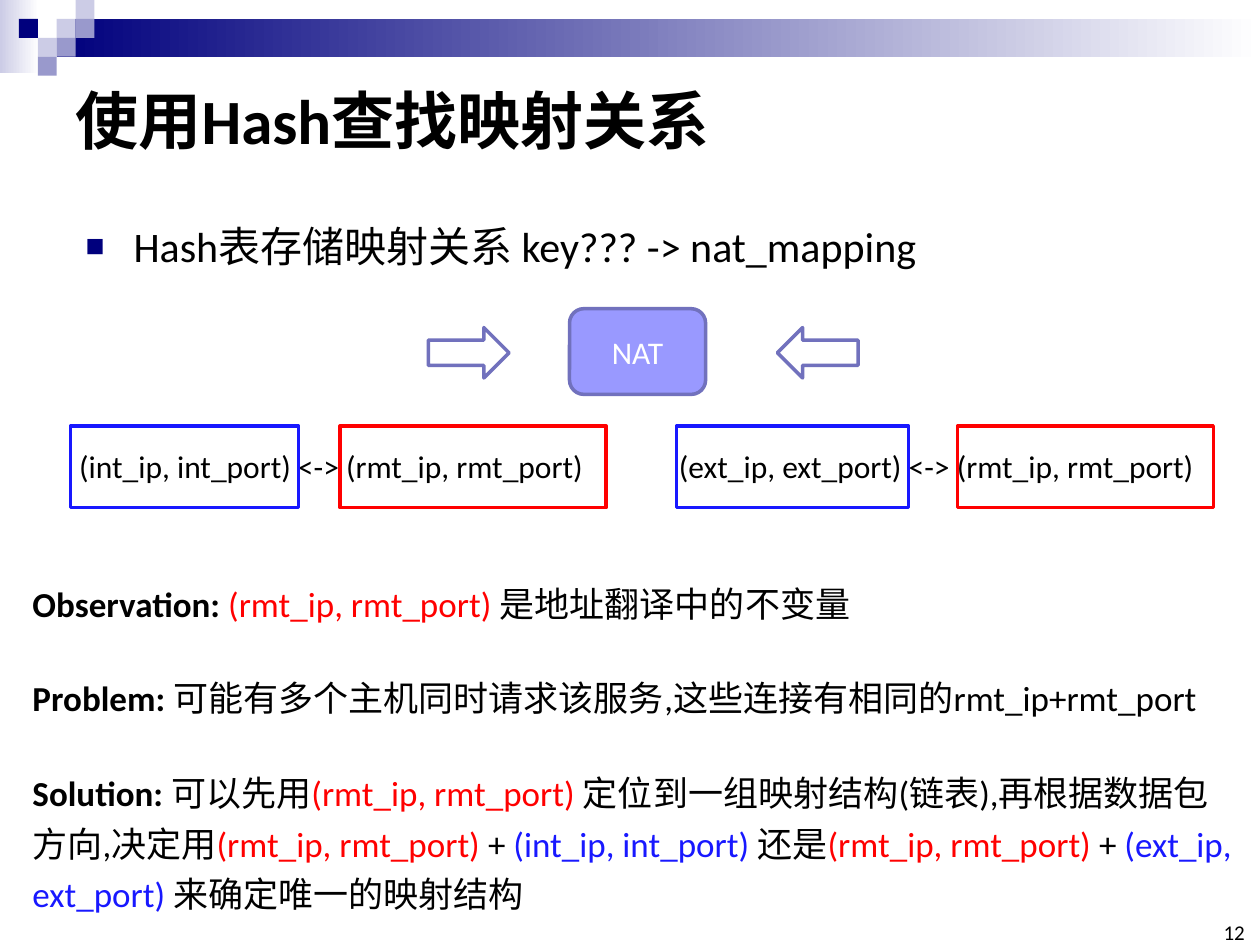
"""Builds the slide on finding NAT mappings with a hash table."""
from lxml.etree import SubElement
from pptx import Presentation
from pptx.dml.color import RGBColor
from pptx.enum.shapes import MSO_SHAPE
from pptx.enum.text import MSO_ANCHOR, MSO_AUTO_SIZE, PP_ALIGN
from pptx.oxml.ns import qn
from pptx.util import Inches, Pt

NAVY = RGBColor(0x00, 0x00, 0x7D)
PALE = RGBColor(0xCC, 0xCC, 0xE6)
MID = RGBColor(0x99, 0x99, 0xCC)
LILAC = RGBColor(0x99, 0x99, 0xFF)
VIOLET = RGBColor(0x71, 0x71, 0xBD)
RED = RGBColor(0xFF, 0x00, 0x00)
BLUE = RGBColor(0x18, 0x18, 0xFF)
BLACK = RGBColor(0x00, 0x00, 0x00)
WHITE = RGBColor(0xFF, 0xFF, 0xFF)
FONT = "Calibri"

TITLE = "使用Hash查找映射关系"
BULLET = "Hash表存储映射关系 key??? -> nat_mapping"
REMOTE, INTERNAL, EXTERNAL = "(rmt_ip, rmt_port)", "(int_ip, int_port)", "(ext_ip, ext_port)"

BANDS = [((0, 0, 0.31, 0.58), PALE), ((0.45, 0.15, 9.55, 0.3), NAVY)]
TILE = 0.15
TILES = [(3, 1, PALE), (4, 0, PALE), (4, 1, MID), (2, 2, PALE),
         (1, 1, NAVY), (3, 2, MID), (2, 3, MID)]

ARROWS = [(MSO_SHAPE.RIGHT_ARROW, 3.4), (MSO_SHAPE.LEFT_ARROW, 6.17)]
TUPLES = [(INTERNAL, 0.53, 4.33), (EXTERNAL, 5.29, 4.42)]
FRAMES = [(2.7, 2.11, RED), (7.6, 2.03, RED), (0.56, 1.81, BLUE), (5.37, 1.84, BLUE)]

NOTES = [
    ((0.16, 4.57, 6.97, 0.44), 1.0, [
        ("Observation: ", BLACK, True), (REMOTE + " ", RED), ("是地址翻译中的不变量", BLACK)]),
    ((0.16, 5.32, 9.84, 0.44), 1.0, [
        ("Problem: ", BLACK, True),
        ("可能有多个主机同时请求该服务,这些连接有相同的rmt_ip+rmt_port".replace(",", ","), BLACK)]),
    ((0.16, 6.01, 9.74, 1.28), 1.2, [
        ("Solution: ", BLACK, True), ("可以先用", BLACK), (REMOTE + " ", RED),
        ("定位到一组映射结构(链表),再根据数据包方向,决定用", BLACK),
        (REMOTE, RED), (" + ", BLACK), (INTERNAL + " ", BLUE), ("还是", BLACK),
        (REMOTE, RED), (" + ", BLACK), (EXTERNAL + " ", BLUE),
        ("来确定唯一的映射结构", BLACK)]),
]


def write(paragraph, text, size, color=BLACK, bold=False):
    run = paragraph.add_run()
    run.text = text
    for name, value in {"name": FONT, "size": Pt(size), "bold": bold}.items():
        setattr(run.font, name, value)
    run.font.color.rgb = color


def add_block(kind, at, fill=None, line=None):
    block = slide.shapes.add_shape(kind, *map(Inches, at))
    block.shadow.inherit = False
    if fill is None:
        block.fill.background()
    else:
        block.fill.solid()
        block.fill.fore_color.rgb = fill
    if line is None:
        block.line.fill.background()
    else:
        block.line.color.rgb = line
        block.line.width = Pt(2)
    return block


def add_text(at, **frame_format):
    frame = slide.shapes.add_textbox(*map(Inches, at)).text_frame
    for name, value in frame_format.items():
        setattr(frame, name, value)
    return frame


def fill_placeholder(holder, at, text, size, anchor):
    for name, value in zip(("left", "top", "width", "height"), at):
        setattr(holder, name, Inches(value))
    frame = holder.text_frame
    for name, value in {"auto_size": MSO_AUTO_SIZE.NONE, "word_wrap": True,
                        "vertical_anchor": anchor}.items():
        setattr(frame, name, value)
    paragraph = frame.paragraphs[0]
    paragraph.alignment = PP_ALIGN.LEFT
    write(paragraph, text, size, bold=holder == slide.shapes.title)
    return paragraph


deck = Presentation()
deck.slide_width, deck.slide_height = Inches(10), Inches(7.5)
slide = deck.slides.add_slide(deck.slide_layouts[1])

for at, start in BANDS:
    fill = add_block(MSO_SHAPE.RECTANGLE, at).fill
    fill.gradient()
    fill.gradient_angle = 0
    for stop, color in zip(fill.gradient_stops, (start, WHITE)):
        stop.color.rgb = color
for column, row, color in TILES:
    add_block(MSO_SHAPE.RECTANGLE, (column * TILE, row * TILE, TILE, TILE), color)

fill_placeholder(slide.shapes.title, (0.5, 0.5, 9, 0.89), TITLE, 36, MSO_ANCHOR.MIDDLE)
item = fill_placeholder(slide.placeholders[1], (0.58, 1.5, 8.62, 1.2), BULLET, 24, MSO_ANCHOR.TOP)
item.line_spacing = 1.5
item.space_before = Pt(0)
properties = item._p.get_or_add_pPr()
properties.set("marL", str(Inches(0.38)))
properties.set("indent", str(-Inches(0.38)))
SubElement(SubElement(properties, qn("a:buClr")), qn("a:srgbClr"), val=str(NAVY))
SubElement(properties, qn("a:buSzPct"), val="75000")
SubElement(properties, qn("a:buChar"), char="■")

nat = add_block(MSO_SHAPE.ROUNDED_RECTANGLE, (4.52, 2.45, 1.08, 0.68), LILAC, VIOLET)
nat.text_frame.vertical_anchor = MSO_ANCHOR.MIDDLE
nat.text_frame.paragraphs[0].alignment = PP_ALIGN.CENTER
write(nat.text_frame.paragraphs[0], "NAT", 18, WHITE)
for kind, left in ARROWS:
    add_block(kind, (left, 2.6, 0.64, 0.4), line=VIOLET)

for local, left, width in TUPLES:
    frame = add_text((left, 3.5, width, 0.4), word_wrap=False)
    write(frame.paragraphs[0], f"{local} <-> {REMOTE}", 18)
for left, width, color in FRAMES:
    add_block(MSO_SHAPE.RECTANGLE, (left, 3.38, width, 0.65), line=color)

for at, spacing, runs in NOTES:
    paragraph = add_text(at, word_wrap=True).paragraphs[0]
    paragraph.line_spacing = spacing
    for text, *style in runs:
        write(paragraph, text, 20, *style)

number = add_text((9.65, 7.33, 0.23, 0.17), vertical_anchor=MSO_ANCHOR.BOTTOM, word_wrap=True,
                  margin_left=0, margin_right=0, margin_top=0, margin_bottom=0)
number.paragraphs[0].alignment = PP_ALIGN.RIGHT
write(number.paragraphs[0], "12", 12)

deck.save("out.pptx")
